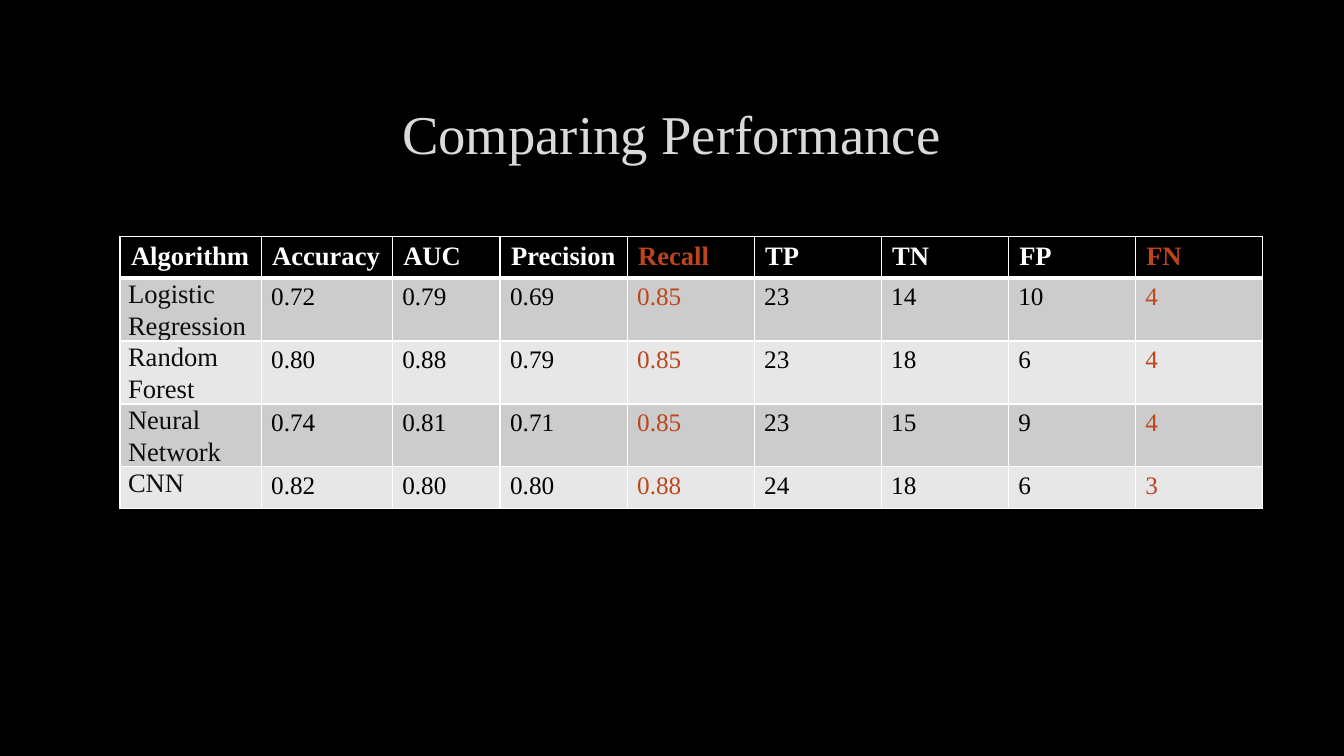
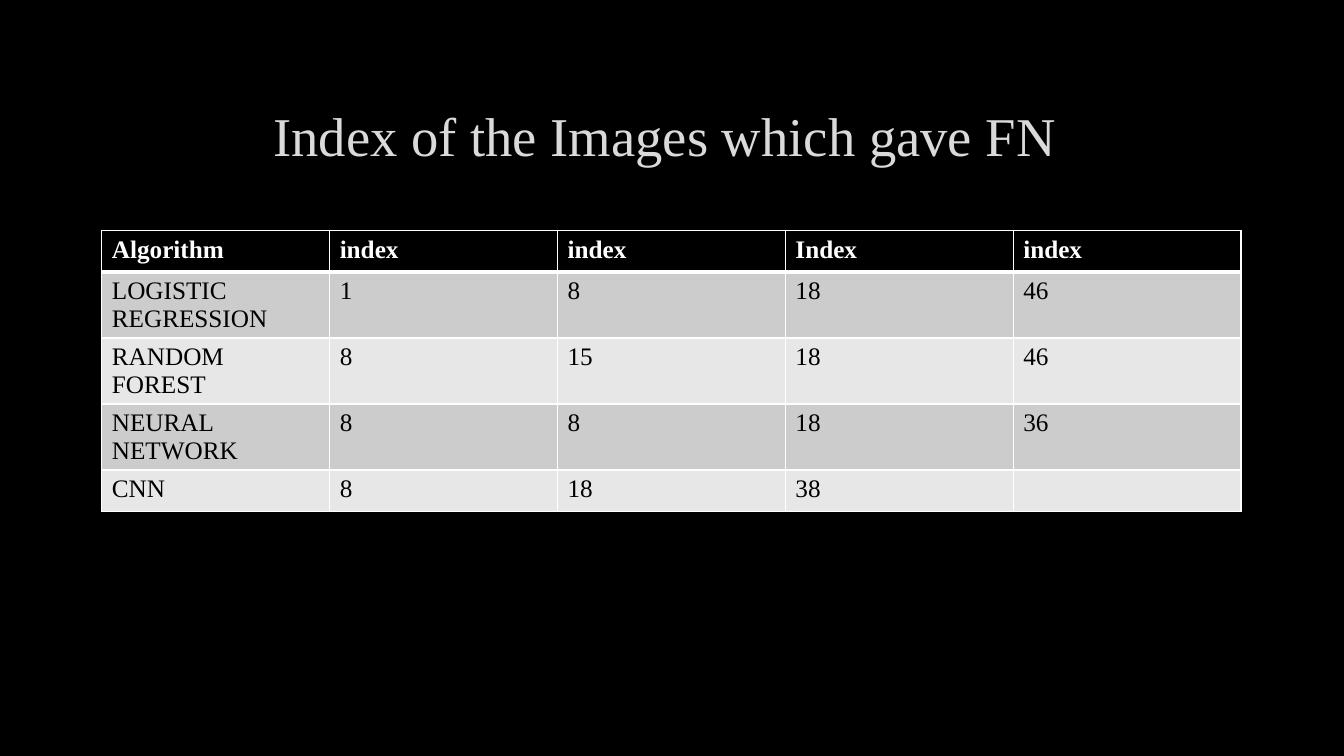
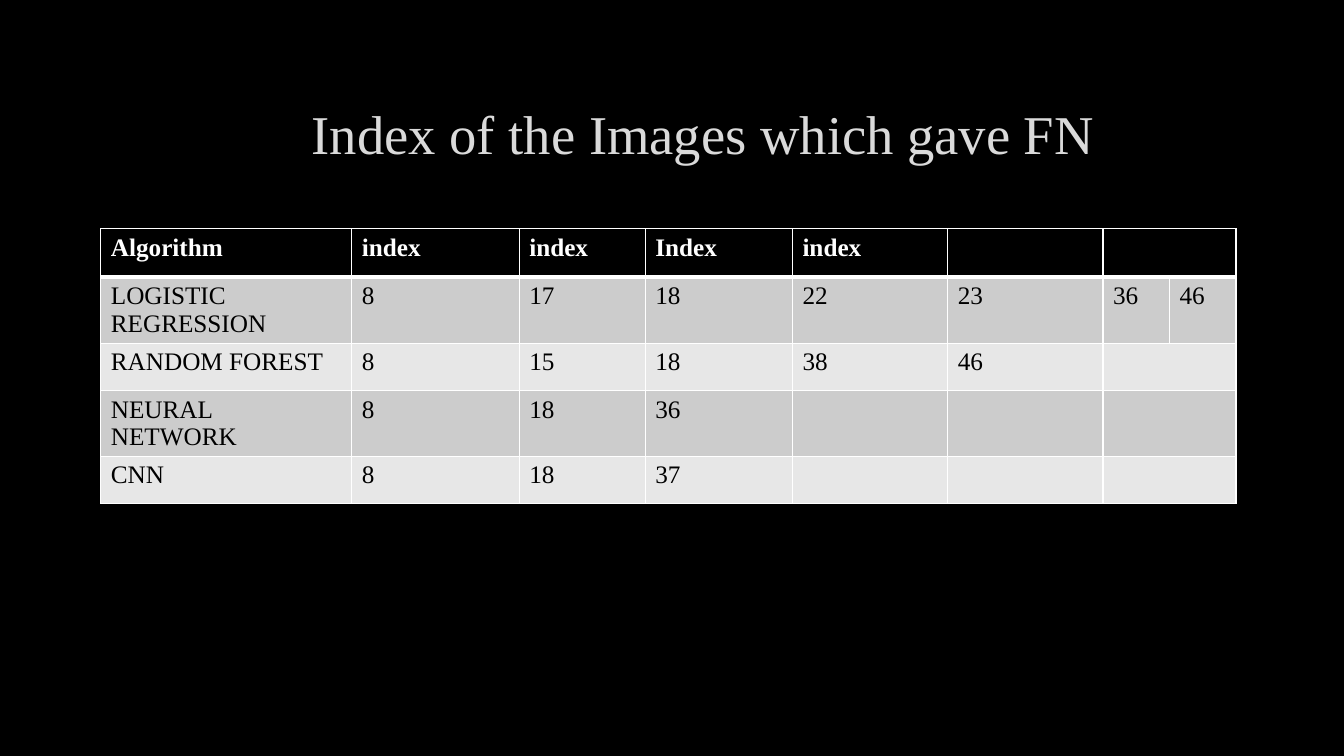
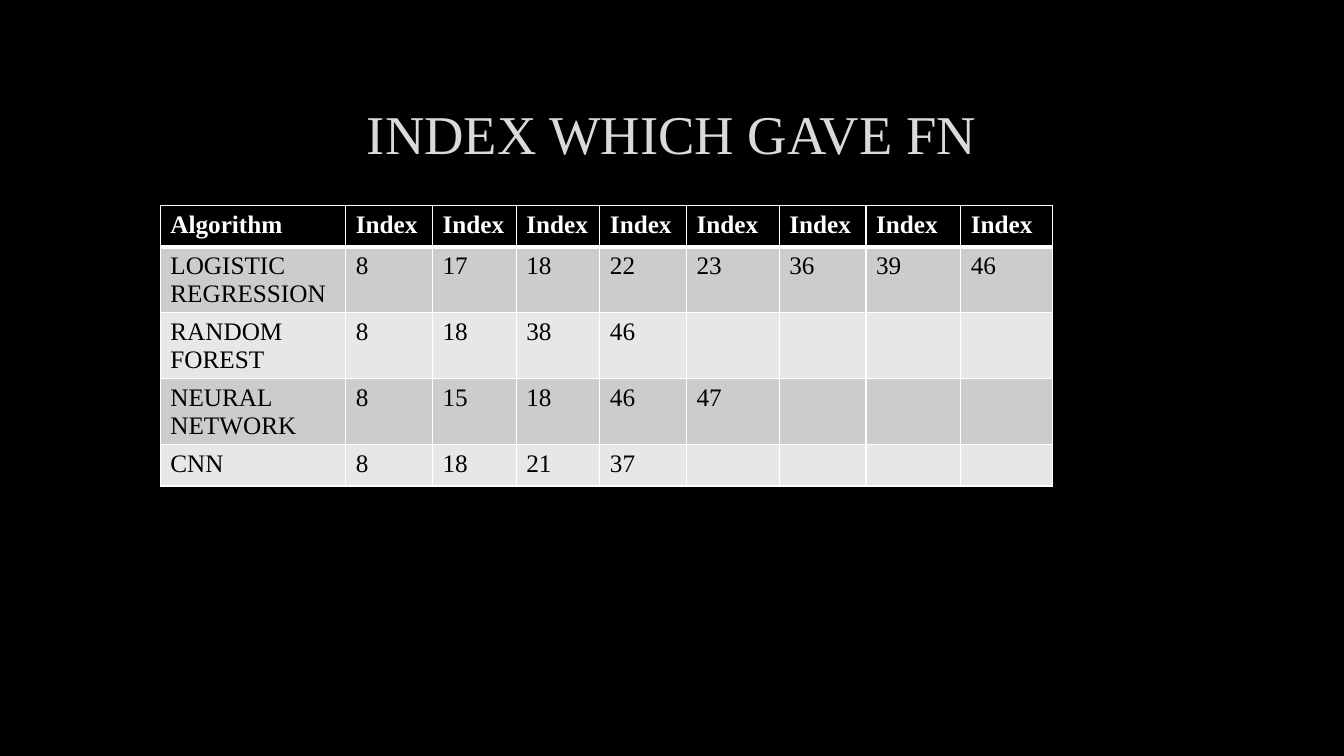
from dataclasses import dataclass

from lxml import etree
from pptx import Presentation
from pptx.dml.color import RGBColor
from pptx.enum.text import MSO_ANCHOR, MSO_AUTO_SIZE, PP_ALIGN
from pptx.oxml import parse_xml
from pptx.oxml.ns import nsdecls
from pptx.util import Emu, Pt

EMU_PER_PX = 9144
SLIDE_W, SLIDE_H = 1333, 750
TITLE_W, TITLE_H = 1132, 138
TITLE_ONLY = 5
FONT = "Times New Roman"
COLORS = {
    "black": "000000",
    "white": "FFFFFF",
    "title": "DADADA",
    "outline": "404040",
    "label": "0D0D0D",
    "accent": "BC451B",
    "odd": "CCCCCC",
    "even": "E7E7E7",
}
MIDDLE = MSO_ANCHOR.MIDDLE
CENTER, JUSTIFY = PP_ALIGN.CENTER, PP_ALIGN.JUSTIFY
NO_AUTOSIZE = MSO_AUTO_SIZE.NONE

Insets = tuple[int, int, int, int]
CELL_INSETS: Insets = (10, 5, 10, 5)


@dataclass(frozen=True)
class TableStyle:
    header_size: int = 18
    header_insets: Insets = CELL_INSETS
    label_size: int = 18
    label_color: str = "black"
    label_insets: Insets = CELL_INSETS
    label_align: PP_ALIGN | None = None
    label_spacing: float | None = None
    accent_cols: tuple[int, ...] = ()


INDEX_STYLE = TableStyle()
SCORE_STYLE = TableStyle(
    header_size=19, header_insets=(11, 5, 10, 5),
    label_size=19, label_color="label", label_insets=(8, 0, 8, 0),
    label_align=JUSTIFY, label_spacing=1.07, accent_cols=(4, 8),
)


@dataclass(frozen=True)
class TableSlide:
    """A title and a table; rows are texts separated by |, the first the header."""
    title: str
    title_at: tuple[int, int]
    table_at: tuple[int, int]
    cols: list[int]
    heights: list[int]
    rows: list[str]
    style: TableStyle = INDEX_STYLE
    merges: tuple[tuple[int, int, int], ...] = ()  # row, first column, last column


SLIDES = [
    TableSlide(
        "Comparing Performance", (100, 67), (119, 235),
        [140, 130, 107] + [126] * 6, [41, 62, 62, 62, 41],
        [
            "Algorithm|Accuracy|AUC|Precision|Recall|TP|TN|FP|FN",
            "Logistic Regression|0.72|0.79|0.69|0.85|23|14|10|4",
            "Random Forest|0.80|0.88|0.79|0.85|23|18|6|4",
            "Neural Network|0.74|0.81|0.71|0.85|23|15|9|4",
            "CNN|0.82|0.80|0.80|0.88|24|18|6|3",
        ],
        style=SCORE_STYLE,
    ),
    TableSlide(
        "Index of the Images which gave FN ", (100, 69), (101, 229),
        [226] * 5, [41, 65, 65, 65, 41],
        [
            "Algorithm|index|index|Index|index",
            "LOGISTIC REGRESSION|1|8|18|46",
            "RANDOM FOREST|8|15|18|46",
            "NEURAL NETWORK|8|8|18|36",
            "CNN|8|18|38",
        ],
    ),
    TableSlide(
        "Index of the Images which gave FN ", (138, 67), (100, 227),
        [249, 166, 125, 146, 154, 154, 66, 66], [48, 65, 47, 65, 47],
        [
            "Algorithm|index|index|Index|index",
            "LOGISTIC REGRESSION|8|17|18|22|23|36|46",
            "RANDOM FOREST|8|15|18|38|46",
            "NEURAL NETWORK|8|18|36",
            "CNN|8|18|37",
        ],
        merges=tuple((row, 6, 7) for row in (0, 2, 3, 4)),
    ),
    TableSlide(
        "INDEX WHICH GAVE FN", (100, 67), (159, 204),
        [184, 86, 83, 83, 86, 92, 86, 94, 91], [41, 65, 65, 65, 41],
        [
            "Algorithm" + "|Index" * 8,
            "LOGISTIC REGRESSION|8|17|18|22|23|36|39|46",
            "RANDOM FOREST|8|18|38|46",
            "NEURAL NETWORK|8|15|18|46|47",
            "CNN|8|18|21|37",
        ],
    ),
]


def px(n: int) -> Emu:
    return Emu(n * EMU_PER_PX)


def rgb(name: str) -> RGBColor:
    return RGBColor.from_string(COLORS[name])


def write(tf, text: str, *, size: int, color: str, bold: bool = False,
          align: PP_ALIGN | None = None, spacing: float | None = None):
    """Put one formatted run in the first paragraph and return the run."""
    p = tf.paragraphs[0]
    p.alignment, p.line_spacing = align, spacing
    r = p.add_run()
    r.text = text
    r.font.name, r.font.size, r.font.bold = FONT, Pt(size), bold
    r.font.color.rgb = rgb(color)
    return r


def line_xml(tag: str, width: float, color: str, alpha: int = 100) -> etree.ElementBase:
    return parse_xml(
        f'<a:{tag} {nsdecls("a")} w="{Pt(width)}"><a:solidFill>'
        f'<a:srgbClr val="{COLORS[color]}"><a:alpha val="{alpha * 1000}"/></a:srgbClr>'
        f'</a:solidFill><a:prstDash val="solid"/></a:{tag}>'
    )


def add_title(s, text: str, at: tuple[int, int]) -> None:
    sp = s.shapes.title
    sp.left, sp.top = map(px, at)
    sp.width, sp.height = px(TITLE_W), px(TITLE_H)
    tf = sp.text_frame
    tf.auto_size, tf.vertical_anchor = NO_AUTOSIZE, MIDDLE
    r = write(tf, text, size=39, color="title", align=CENTER, spacing=0.9)
    r.font._element.insert(0, line_xml("ln", 0.75, "outline", alpha=10))


def style_cell(cell, fill: str, insets: Insets, top: int, bottom: int) -> None:
    """Set fill, insets and white borders; top and bottom are widths in points."""
    cell.margin_left, cell.margin_top, cell.margin_right, cell.margin_bottom = map(px, insets)
    cell.fill.solid()
    cell.fill.fore_color.rgb = rgb(fill)
    tcPr = cell._tc.get_or_add_tcPr()
    borders = {"lnL": 1, "lnR": 1, "lnT": top, "lnB": bottom}
    for i, (tag, width) in enumerate(borders.items()):
        tcPr.insert(i, line_xml(tag, width, "white"))


def fill_cell(cell, text: str, row: int, col: int, style: TableStyle) -> None:
    header, label = row == 0, row > 0 and col == 0
    fill = "black" if header else "odd" if row % 2 else "even"
    insets = style.header_insets if header else style.label_insets if label else CELL_INSETS
    style_cell(cell, fill, insets, top=3 if row == 1 else 1, bottom=3 if header else 1)
    if not text:
        return
    if label:
        write(cell.text_frame, text, size=style.label_size, color=style.label_color,
              align=style.label_align, spacing=style.label_spacing)
    else:
        color = "accent" if col in style.accent_cols else "white" if header else "black"
        write(cell.text_frame, text, size=style.header_size if header else 18,
              color=color, bold=header)


def add_table(s, spec_slide: TableSlide) -> None:
    cols, heights = spec_slide.cols, spec_slide.heights
    left, top = spec_slide.table_at
    table = s.shapes.add_table(len(heights), len(cols), px(left), px(top),
                               px(sum(cols)), px(sum(heights))).table
    for column, width in zip(table.columns, cols):
        column.width = px(width)
    for row, height in enumerate(heights):
        table.rows[row].height = px(height)
        texts = spec_slide.rows[row].split("|")
        texts += [""] * (len(cols) - len(texts))
        for col, text in enumerate(texts):
            fill_cell(table.cell(row, col), text, row, col, spec_slide.style)
    for row, first, last in spec_slide.merges:
        table.cell(row, first).merge(table.cell(row, last))


def main() -> None:
    prs = Presentation()
    prs.slide_width, prs.slide_height = px(SLIDE_W), px(SLIDE_H)
    background = prs.slide_master.background.fill
    background.solid()
    background.fore_color.rgb = rgb("black")
    for content in SLIDES:
        s = prs.slides.add_slide(prs.slide_layouts[TITLE_ONLY])
        add_title(s, content.title, content.title_at)
        add_table(s, content)
    prs.save("out.pptx")


if __name__ == "__main__":
    main()
